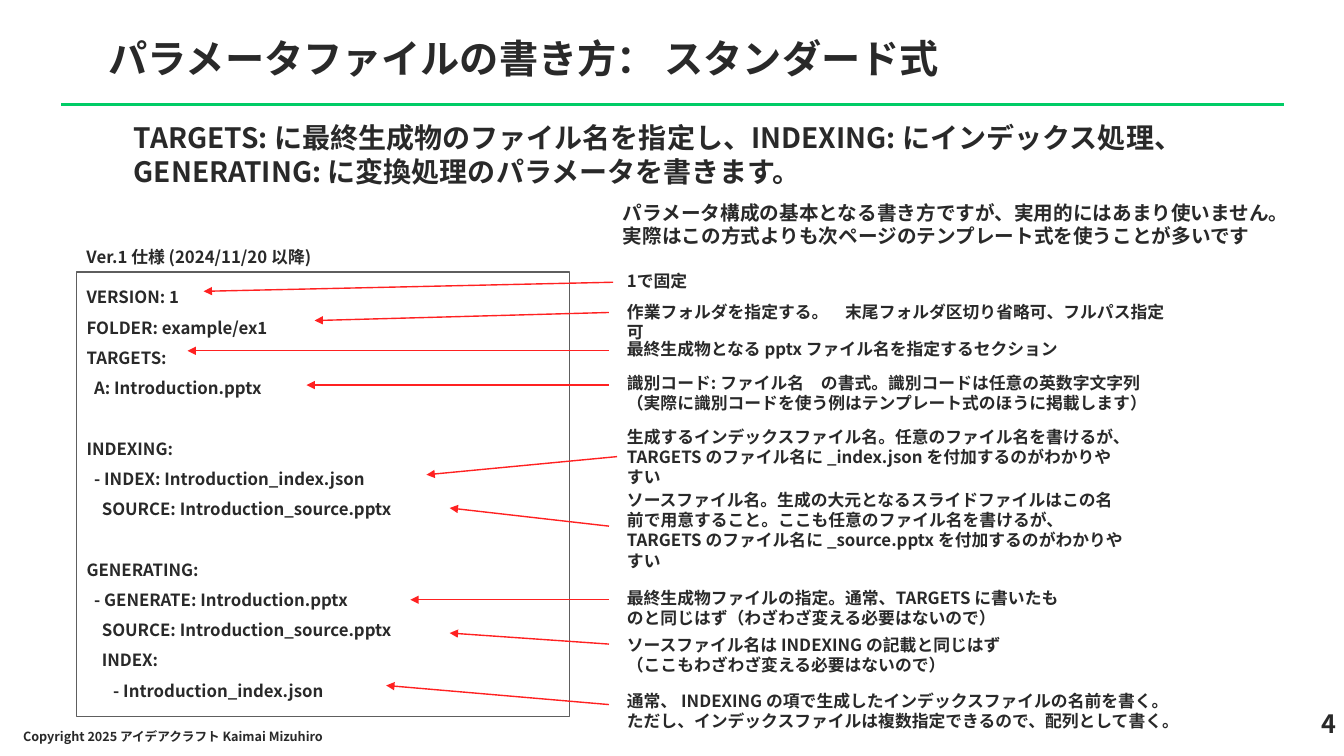
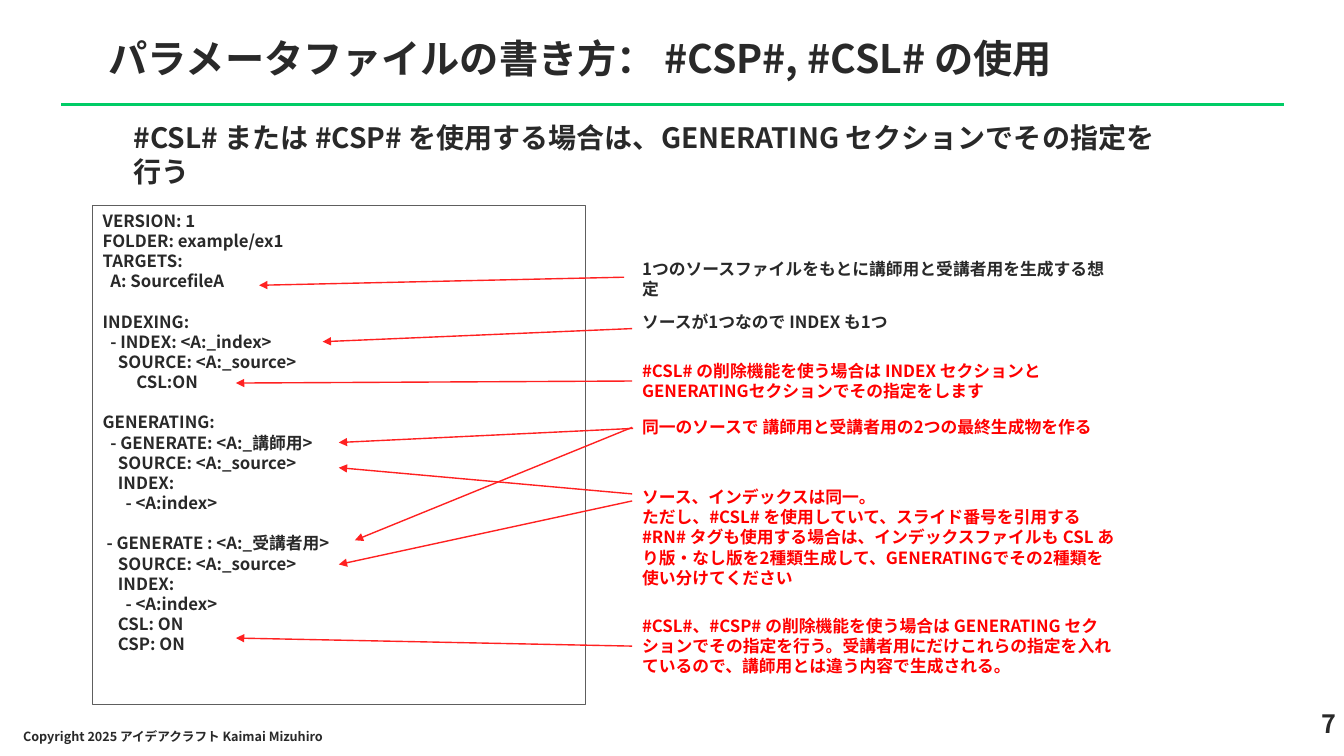
import pptx
import pptx.dml.color
import pptx.enum.shapes
import pptx.enum.text
import pptx.oxml.ns
import pptx.util
from lxml import etree
from pptx.util import Inches

FONT = "Noto Sans CJK JP"
COLOURS = {"text": "292929", "alert": "FF0000", "arrow": "FF2121",
           "rule": "00CC66", "border": "5E5E5E", "paper": "FFFFFF"}
COPYRIGHT = "Copyright 2025 アイデアクラフト Kaimai Mizuhiro"
LINE_RATIO = 1.2  # height of a text line relative to its size
CODE_SIZE = 12

# Notes: top, width, number of lines, colour, paragraphs, arrows (from, to)
STANDARD = {
    "title": "パラメータファイルの書き方： スタンダード式",
    "page": "4",
    "lead": "TARGETS: に最終生成物のファイル名を指定し、INDEXING: にインデックス処理、"
            "GENERATING: に変換処理のパラメータを書きます。",
    "labels": [
        ((0.76, 2.4, 3.54, 0.3), 12, ["Ver.1 仕様 (2024/11/20 以降)"]),
        ((6.08, 1.94, 6.93, 0.57), 14, [
            "パラメータ構成の基本となる書き方ですが、実用的にはあまり使いません。",
            "実際はこの方式よりも次ページのテンプレート式を使うことが多いです"]),
    ],
    "code_box": (0.76, 2.7, 4.89, 4.41),
    "code_spacing": 1.5,
    "code": """VERSION: 1
FOLDER: example/ex1
TARGETS:
  A: Introduction.pptx

INDEXING:
  - INDEX: Introduction_index.json
    SOURCE: Introduction_source.pptx

GENERATING:
  - GENERATE: Introduction.pptx
    SOURCE: Introduction_source.pptx
    INDEX:
       - Introduction_index.json""",
    "notes_left": 6.12,
    "notes": [
        (2.64, 1.65, 1, "text", ["1で固定"], [((6.08, 2.8), (2.02, 2.89))]),
        (2.94, 5.59, 1, "text",
         ["作業フォルダを指定する。　末尾フォルダ区切り省略可、フルパス指定可"],
         [((6.04, 3.1), (3.12, 3.18))]),
        (3.31, 4.57, 1, "text",
         ["最終生成物となる pptx ファイル名を指定するセクション"],
         [((6.04, 3.48), (1.86, 3.48))]),
        (3.65, 5.67, 2, "text",
         ["識別コード: ファイル名　の書式。識別コードは任意の英数字文字列",
          "（実際に識別コードを使う例はテンプレート式のほうに掲載します）"],
         [((6.04, 3.82), (3.04, 3.82))]),
        (4.18, 5.12, 3, "text",
         ["生成するインデックスファイル名。任意のファイル名を書けるが、"
          "TARGETS のファイル名に _index.json を付加するのがわかりやすい"],
         [((6.12, 4.53), (4.23, 4.71))]),
        (4.81, 5.12, 4, "text",
         ["ソースファイル名。生成の大元となるスライドファイルはこの名前で用意すること。"
          "ここも任意のファイル名を書けるが、"
          "TARGETS のファイル名に _source.pptx を付加するのがわかりやすい"],
         [((6.04, 5.22), (4.46, 5.04))]),
        (5.78, 4.57, 2, "text",
         ["最終生成物ファイルの指定。通常、TARGETS に書いたものと同じはず"
          "（わざわざ変える必要はないので）"],
         [((6.04, 5.95), (4.07, 5.95))]),
        (6.25, 4.57, 2, "text",
         ["ソースファイル名は INDEXING の記載と同じはず",
          "（ここもわざわざ変える必要はないので）"],
         [((6.04, 6.39), (4.46, 6.28))]),
        (6.8, 5.83, 2, "text",
         ["通常、 INDEXING の項で生成したインデックスファイルの名前を書く。",
          "ただし、インデックスファイルは複数指定できるので、配列として書く。"],
         [((6.04, 6.99), (3.83, 6.8))]),
    ],
}

CSP_CSL = {
    "title": "パラメータファイルの書き方： #CSP#, #CSL# の使用",
    "page": "7",
    "lead": "#CSL# または #CSP# を使用する場合は、GENERATING セクションでその指定を行う",
    "labels": [],
    "code_box": (0.92, 2.04, 4.89, 4.95),
    "code_spacing": 1.0,
    "code": """VERSION: 1
FOLDER: example/ex1
TARGETS:
  A: SourcefileA

INDEXING:
  - INDEX: <A:_index>
    SOURCE: <A:_source>
　　CSL:ON

GENERATING:
  - GENERATE: <A:_講師用>
    SOURCE: <A:_source>
    INDEX:
      - <A:index>

 - GENERATE : <A:_受講者用>
    SOURCE: <A:_source>
    INDEX:
      - <A:index>
    CSL: ON
    CSP: ON""",
    "notes_left": 6.27,
    "notes": [
        (2.52, 4.89, 1, "text",
         ["1つのソースファイルをもとに講師用と受講者用を生成する想定"],
         [((6.19, 2.75), (2.57, 2.83))]),
        (3.04, 4.57, 1, "text", ["ソースが1つなので INDEX も1つ"],
         [((6.27, 3.26), (3.2, 3.39))]),
        (3.53, 4.89, 2, "alert",
         ["#CSL# の削除機能を使う場合は INDEX セクションと"
          "GENERATINGセクションでその指定をします"],
         [((6.27, 3.78), (2.34, 3.8))]),
        (4.09, 4.89, 1, "alert",
         ["同一のソースで 講師用と受講者用の2つの最終生成物を作る"],
         [((6.28, 4.25), (3.36, 4.39)), ((6.27, 4.24), (3.52, 5.36))]),
        (4.78, 4.89, 5, "alert",
         ["ソース、インデックスは同一。",
          "ただし、#CSL# を使用していて、スライド番号を引用する#RN# タグも使用する場合は、"
          "インデックスファイルも CSL あり版・なし版を2種類生成して、"
          "GENERATINGでその2種類を使い分けてください"],
         [((6.27, 4.9), (3.36, 4.64)), ((6.27, 4.97), (3.36, 5.6))]),
        (6.06, 4.89, 3, "alert",
         ["#CSL#、#CSP# の削除機能を使う場合は GENERATING セクションでその指定を行う。"
          "受講者用にだけこれらの指定を入れているので、講師用とは違う内容で生成される。"],
         [((6.27, 6.41), (2.34, 6.33))]),
    ],
}


def rgb(name):
    return pptx.dml.color.RGBColor.from_string(COLOURS[name])


def write(frame, lines, size, colour="text", anchor="TOP", **paragraph_format):
    """Fill a text frame; an empty line becomes space before the next one."""
    frame.word_wrap = True
    frame.vertical_anchor = getattr(pptx.enum.text.MSO_ANCHOR, anchor)
    gap = 0
    for line in lines:
        if not line:
            gap += size * LINE_RATIO * paragraph_format.get("line_spacing", 1)
            continue
        first = line is lines[0]
        paragraph = frame.paragraphs[0] if first else frame.add_paragraph()
        settings = {"alignment": pptx.enum.text.PP_ALIGN.LEFT, **paragraph_format}
        if gap:
            settings["space_before"] = pptx.util.Pt(gap)
        for attribute, value in settings.items():
            setattr(paragraph, attribute, value)
        run = paragraph.add_run()
        run.text = line
        font_format = {"name": FONT, "size": pptx.util.Pt(size), "bold": True}
        for attribute, value in font_format.items():
            setattr(run.font, attribute, value)
        run.font.color.rgb = rgb(colour)
        east_asian = etree.SubElement(run.font._element, pptx.oxml.ns.qn("a:ea"))
        east_asian.set("typeface", FONT)
        gap = 0


def add_text(slide, box, lines, size, **options):
    textbox = slide.shapes.add_textbox(*map(Inches, box))
    write(textbox.text_frame, lines, size, **options)


def add_line(slide, start, end, colour, width, arrow=False):
    line = slide.shapes.add_connector(
        pptx.enum.shapes.MSO_CONNECTOR.STRAIGHT, *map(Inches, start + end))
    line.line.color.rgb = rgb(colour)
    line.line.width = pptx.util.Pt(width)
    if arrow:
        tail = etree.SubElement(line.line._get_or_add_ln(), pptx.oxml.ns.qn("a:tailEnd"))
        tail.set("type", "triangle")
    etree.SubElement(line._element.spPr, pptx.oxml.ns.qn("a:effectLst"))


def add_frame(slide, content):
    """Title, rule, lead, copyright and page number shared by the slides."""
    add_line(slide, (0.61, 1.04), (12.73, 1.04), "rule", 2.25)
    add_text(slide, (0.98, 0.29, 11.98, 0.63), [content["title"]], 28)
    add_text(slide, (0.13, 7.17, 5.52, 0.28), [COPYRIGHT], 9, anchor="MIDDLE")
    add_text(slide, (11.71, 6.98, 1.64, 0.5), [content["page"]], 18,
             alignment=pptx.enum.text.PP_ALIGN.RIGHT)
    add_text(slide, (1.23, 1.15, 10.47, 0.77), [content["lead"]], 20)


def add_code(slide, content):
    listing = slide.shapes.add_shape(
        pptx.enum.shapes.MSO_SHAPE.RECTANGLE, *map(Inches, content["code_box"]))
    listing.shadow.inherit = False
    listing.fill.solid()
    listing.fill.fore_color.rgb = rgb("paper")
    listing.line.color.rgb = rgb("border")
    listing.line.width = pptx.util.Pt(1)
    write(listing.text_frame, content["code"].split("\n"), CODE_SIZE,
          line_spacing=content["code_spacing"])


def build_slide(deck, content):
    slide = deck.slides.add_slide(deck.slide_layouts[6])
    add_frame(slide, content)
    add_code(slide, content)
    for box, size, lines in content["labels"]:
        add_text(slide, box, lines, size)
    # Explanations with arrows to the code lines
    for top, width, line_count, colour, lines, arrows in content["notes"]:
        box = (content["notes_left"], top, width, 0.1 + 0.2 * line_count)
        add_text(slide, box, lines, 12, colour=colour)
        for start, end in arrows:
            add_line(slide, start, end, "arrow", 1, arrow=True)


def main():
    deck = pptx.Presentation()
    deck.slide_width, deck.slide_height = Inches(13.33), Inches(7.5)
    for content in (STANDARD, CSP_CSL):
        build_slide(deck, content)
    deck.save("out.pptx")


if __name__ == "__main__":
    main()
